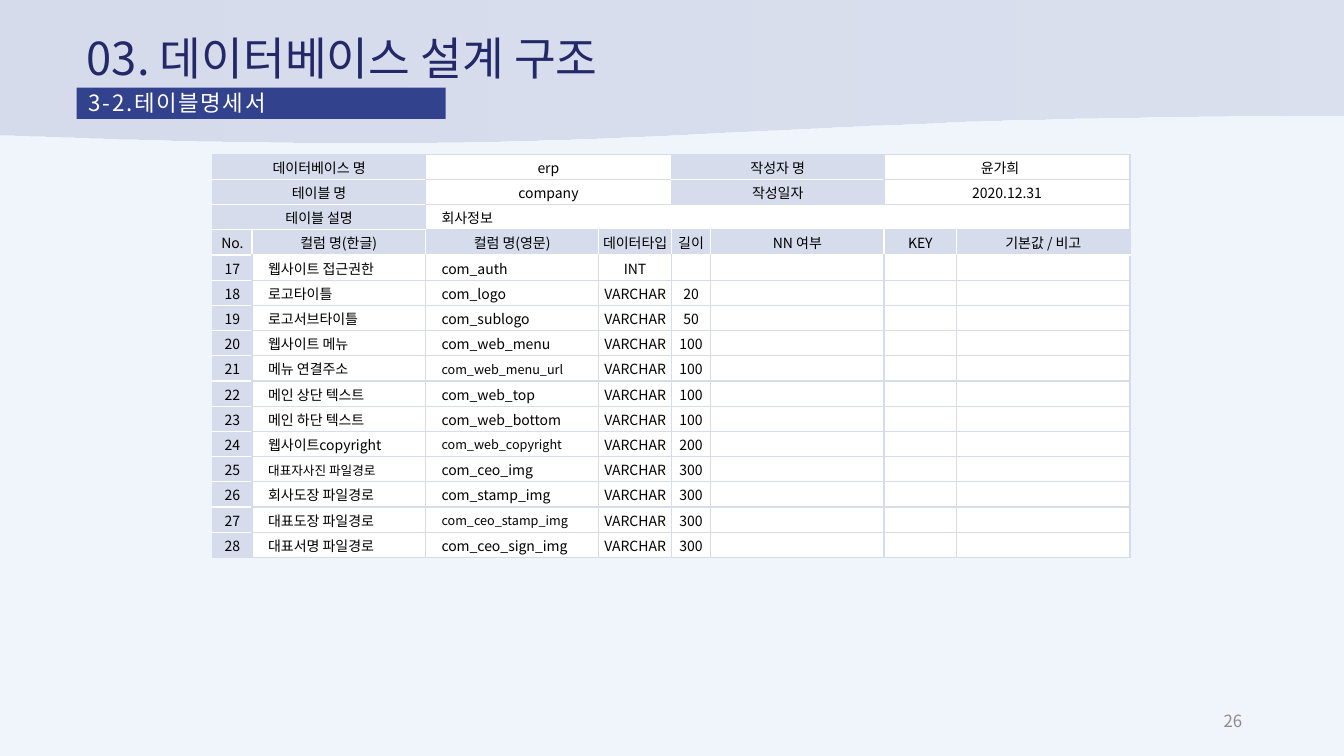
"""Build the table specification slide of the database design section."""
import lxml.etree
import pptx
import pptx.dml.color
import pptx.enum.shapes
import pptx.enum.text
import pptx.oxml.ns
import pptx.util

PX = 9144
THEME = {
    "font": "Noto Sans CJK KR",
    "background": "EFF5FA", "pale": "D6DCEC", "white": "FFFFFF", "black": "000000",
    "navy": "232868", "blue": "33428C", "grey": "8C8C8C",
    "title": 32.4, "subtitle": 16, "number": 12, "cell": 10, "small": 9,
}
ALIGN = pptx.enum.text.PP_ALIGN
MIDDLE = pptx.enum.text.MSO_ANCHOR.MIDDLE
SHAPES = pptx.enum.shapes.MSO_SHAPE
qn = pptx.oxml.ns.qn


def rgb(name):
    return pptx.dml.color.RGBColor.from_string(THEME[name])


def write(frame, text, size, color, align):
    frame.text = text
    paragraph = frame.paragraphs[0]
    paragraph.alignment = align
    for run in paragraph.runs:
        run.font.size = pptx.util.Pt(THEME[size])
        run.font.name = THEME["font"]
        run.font.color.rgb = rgb(color)
        lxml.etree.SubElement(run.font._element, qn("a:ea"), typeface=THEME["font"])


deck = pptx.Presentation()
deck.slide_width, deck.slide_height = 1333 * PX, 750 * PX
slide = deck.slides.add_slide(deck.slide_layouts[5])
slide.background.fill.solid()
slide.background.fill.fore_color.rgb = rgb("background")

wave = slide.shapes.add_shape(SHAPES.FLOWCHART_DOCUMENT, 0, 0, 1333 * PX, 143 * PX)
wave.shadow.inherit = False
wave.line.fill.background()
wave.fill.gradient()
wave.fill.gradient_angle = 0
for stop in wave.fill.gradient_stops:
    stop.color.rgb = rgb("pale")
fading_color = wave.fill._xPr.findall(".//" + qn("a:srgbClr"))[-1]
lxml.etree.SubElement(fading_color, qn("a:alpha"), val="80000")
slide.shapes._spTree.insert(2, wave._element)

title = slide.shapes.title
title.left, title.top, title.width, title.height = 76 * PX, 28 * PX, 855 * PX, 58 * PX
title.text_frame.vertical_anchor = MIDDLE
write(title.text_frame, "03. 데이터베이스 설계 구조", "title", "navy", ALIGN.LEFT)

subtitle = slide.shapes.add_shape(SHAPES.RECTANGLE, 76 * PX, 87 * PX, 366 * PX, 31 * PX)
subtitle.shadow.inherit = False
subtitle.fill.solid()
subtitle.fill.fore_color.rgb = rgb("blue")
subtitle.line.fill.background()
label = subtitle.text_frame
label.margin_left = label.margin_right = 12 * PX
label.margin_top, label.margin_bottom = 4 * PX, 5 * PX
label.vertical_anchor = pptx.enum.text.MSO_ANCHOR.TOP
write(label, "3-2.테이블명세서", "subtitle", "white", ALIGN.JUSTIFY)
label.paragraphs[0].line_spacing = 0.9
label.paragraphs[0].runs[0].font._element.set("spc", "120")

page_number = slide.shapes.add_textbox(942 * PX, 695 * PX, 300 * PX, 40 * PX).text_frame
page_number.word_wrap = True
page_number.vertical_anchor = MIDDLE
write(page_number, "26", "number", "grey", ALIGN.RIGHT)

HEADER = 3
FIRST_NUMBER = 17
COLUMN_WIDTHS = [39, 172, 172, 72, 39, 172, 72, 172]
ROW_HEIGHT = 25
fields = [
    ("웹사이트 접근권한", "com_auth", "INT", ""),
    ("로고타이틀", "com_logo", "VARCHAR", "20"),
    ("로고서브타이틀", "com_sublogo", "VARCHAR", "50"),
    ("웹사이트 메뉴", "com_web_menu", "VARCHAR", "100"),
    ("메뉴 연결주소", "com_web_menu_url", "VARCHAR", "100"),
    ("메인 상단 텍스트", "com_web_top", "VARCHAR", "100"),
    ("메인 하단 텍스트", "com_web_bottom", "VARCHAR", "100"),
    ("웹사이트copyright", "com_web_copyright", "VARCHAR", "200"),
    ("대표자사진 파일경로", "com_ceo_img", "VARCHAR", "300"),
    ("회사도장 파일경로", "com_stamp_img", "VARCHAR", "300"),
    ("대표도장 파일경로", "com_ceo_stamp_img", "VARCHAR", "300"),
    ("대표서명 파일경로", "com_ceo_sign_img", "VARCHAR", "300"),
]
long_names = {"com_web_menu_url", "com_web_copyright", "대표자사진 파일경로", "com_ceo_stamp_img"}
rows = [
    ["데이터베이스 명", "", "erp", "", "작성자 명", "", "윤가희　", ""],
    ["테이블 명", "", "company", "", "작성일자", "", "2020.12.31", ""],
    ["테이블 설명", "", "회사정보", "", "", "", "", ""],
    ["No.", "컬럼 명(한글)", "컬럼 명(영문)", "데이터타입", "길이", "NN 여부", "KEY", "기본값 / 비고"],
]
for number, field in enumerate(fields, FIRST_NUMBER):
    rows.append([str(number), *field, "", "", ""])

label_cells = {(HEADER, c) for c in range(len(COLUMN_WIDTHS))}
label_cells |= {(r, 0) for r in range(len(rows))}
label_cells |= {(r, 1) for r in range(HEADER)}
label_cells |= {(r, c) for r in (0, 1) for c in (4, 5)}

table = slide.shapes.add_table(
    len(rows), len(COLUMN_WIDTHS), 211 * PX, 153 * PX,
    sum(COLUMN_WIDTHS) * PX, len(rows) * ROW_HEIGHT * PX).table
table.first_row = table.horz_banding = False
for column, width in zip(table.columns, COLUMN_WIDTHS):
    column.width = width * PX

for r, texts in enumerate(rows):
    table.rows[r].height = ROW_HEIGHT * PX
    for c, text in enumerate(texts):
        cell = table.cell(r, c)
        indented = (r > HEADER and c in (1, 2)) or (r == HEADER - 1 and c == 2)
        cell.vertical_anchor = MIDDLE
        cell.margin_left = (16 if indented else 1) * PX
        cell.margin_right = cell.margin_top = PX
        cell.margin_bottom = 0

        neighbours = {"L": (r, c - 1), "R": (r, c + 1), "T": (r - 1, c), "B": (r + 1, c)}
        for side, neighbour in neighbours.items():
            between_labels = {(r, c), neighbour} <= label_cells
            under_header = {r, neighbour[0]} == {HEADER, HEADER + 1}
            parted = between_labels and (side in "TB" or r == HEADER)
            color = "white" if parted or under_header else "pale"
            border = lxml.etree.SubElement(
                cell._tc.get_or_add_tcPr(), qn("a:ln" + side), w="12700")
            paint = lxml.etree.SubElement(border, qn("a:solidFill"))
            lxml.etree.SubElement(paint, qn("a:srgbClr"), val=THEME[color])
        cell.fill.solid()
        cell.fill.fore_color.rgb = rgb("pale" if (r, c) in label_cells else "white")

        write(cell.text_frame, text, "small" if text in long_names else "cell",
              "black", ALIGN.LEFT if indented else ALIGN.CENTER)
        lxml.etree.SubElement(cell.text_frame.paragraphs[0]._p, qn("a:endParaRPr"),
                              sz=str(THEME["cell"] * 100))

for r in range(HEADER - 1):
    for c in range(0, len(COLUMN_WIDTHS), 2):
        table.cell(r, c).merge(table.cell(r, c + 1))
table.cell(HEADER - 1, 0).merge(table.cell(HEADER - 1, 1))
table.cell(HEADER - 1, 2).merge(table.cell(HEADER - 1, 7))

deck.save("out.pptx")
